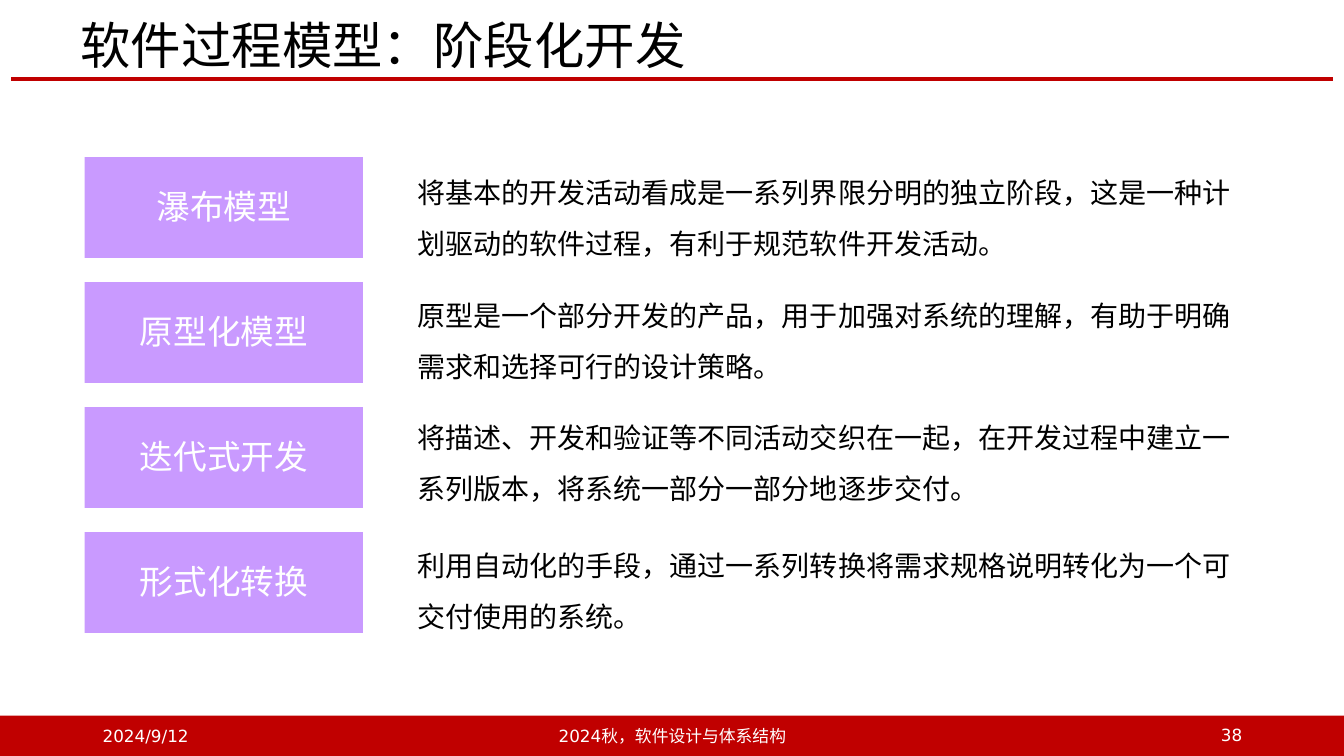
from dataclasses import dataclass

import pptx
import pptx.dml.color
import pptx.enum.shapes
import pptx.enum.text
import pptx.oxml.ns
import pptx.util
from lxml import etree

Inches = pptx.util.Inches
Pt = pptx.util.Pt
RGBColor = pptx.dml.color.RGBColor
Align = pptx.enum.text.PP_ALIGN
Anchor = pptx.enum.text.MSO_ANCHOR
Fit = pptx.enum.text.MSO_AUTO_SIZE
qn = pptx.oxml.ns.qn

RED = RGBColor(0xC0, 0x00, 0x00)
PURPLE = RGBColor(0x94, 0x37, 0xFF)
WHITE = RGBColor(0xFF, 0xFF, 0xFF)
BLACK = RGBColor(0x00, 0x00, 0x00)

SANS = "DejaVu Sans"
LEFT, TOP, WIDTH, HEIGHT, STEP = 0.84, 1.56, 2.76, 1.0, 1.24


@dataclass
class Box:
    left: float
    top: float
    width: float
    height: float


@dataclass
class Style:
    font: str
    size: int
    color: RGBColor
    align: Align = Align.LEFT
    anchor: Anchor = Anchor.TOP
    space: float = 1.0
    wrap: bool = True
    grow: bool = False


@dataclass
class Model:
    name: str
    text: str
    top: float


@dataclass
class Note:
    text: str
    box: Box
    align: Align


MODELS = [
    Model("瀑布模型", "将基本的开发活动看成是一系列界限分明的独立阶段，这是一种计划驱动的软件过程，有利于规范软件开发活动。", 1.53),
    Model("原型化模型", "原型是一个部分开发的产品，用于加强对系统的理解，有助于明确需求和选择可行的设计策略。", 2.75),
    Model("迭代式开发", "将描述、开发和验证等不同活动交织在一起，在开发过程中建立一系列版本，将系统一部分一部分地逐步交付。", 3.96),
    Model("形式化转换", "利用自动化的手段，通过一系列转换将需求规格说明转化为一个可交付使用的系统。", 5.23),
]

NOTES = [
    Note("2024/9/12", Box(0.92, 7.1, 3, 0.4), Align.LEFT),
    Note("2024秋，软件设计与体系结构", Box(4.42, 7.1, 4.5, 0.4), Align.CENTER),
    Note("38", Box(9.42, 7.09, 3, 0.4), Align.RIGHT),
]

TITLE = Style("Noto Sans CJK SC", 36, BLACK, anchor=Anchor.MIDDLE, space=0.9)
LABEL = Style(SANS, 24, WHITE, Align.CENTER, wrap=False, grow=True)
BODY = Style("Arial", 20, BLACK, space=1.5, grow=True)


def place(box: Box) -> tuple:
    return Inches(box.left), Inches(box.top), Inches(box.width), Inches(box.height)


def add_text(slide, text: str, box: Box, style: Style) -> None:
    frame = slide.shapes.add_textbox(*place(box)).text_frame
    frame.word_wrap = style.wrap
    frame.vertical_anchor = style.anchor
    frame.auto_size = Fit.SHAPE_TO_FIT_TEXT if style.grow else Fit.NONE
    para = frame.paragraphs[0]
    para.text = text
    para.alignment = style.align
    para.line_spacing = style.space
    para.font.name = style.font
    para.font.size = Pt(style.size)
    para.font.color.rgb = style.color


def add_block(slide, box: Box, color: RGBColor, alpha: int = 100) -> None:
    """Draw a plain rectangle; alpha is its opacity in percent."""
    kind = pptx.enum.shapes.MSO_SHAPE.RECTANGLE
    shape = slide.shapes.add_shape(kind, *place(box))
    shape.shadow.inherit = False
    shape.fill.solid()
    shape.fill.fore_color.rgb = color
    shape.line.fill.background()
    if alpha < 100:
        tone = shape.fill._xPr.find(qn("a:solidFill"))[0]
        etree.SubElement(tone, qn("a:alpha"), val=str(alpha * 1000))


def add_rule(slide, left: float, right: float, top: float) -> None:
    kind = pptx.enum.shapes.MSO_CONNECTOR.STRAIGHT
    rule = slide.shapes.add_connector(
        kind, Inches(left), Inches(top), Inches(right), Inches(top))
    rule.line.color.rgb = RED
    rule.line.width = Pt(3)
    etree.SubElement(rule._element.spPr, qn("a:effectLst"))


def add_model(slide, model: Model, top: float) -> None:
    add_block(slide, Box(LEFT, top, WIDTH, HEIGHT), PURPLE, 50)
    width = 0.33 * len(model.name) + 0.22
    left = LEFT + (WIDTH - width) / 2
    add_text(slide, model.name, Box(left, top + 0.24, width, 0.5), LABEL)
    add_text(slide, model.text, Box(4.04, model.top, 8.38, 1.06), BODY)


def main() -> None:
    deck = pptx.Presentation()
    deck.slide_width = Inches(13.33)
    deck.slide_height = Inches(7.5)
    slide = deck.slides.add_slide(deck.slide_layouts[6])

    add_rule(slide, 0.11, 13.22, 0.78)
    add_block(slide, Box(0, 7.1, 13.33, 0.4), RED)
    add_text(slide, "软件过程模型：阶段化开发", Box(0.7, 0.18, 11.71, 0.6), TITLE)
    for note in NOTES:
        style = Style(SANS, 12, WHITE, note.align, Anchor.MIDDLE)
        add_text(slide, note.text, note.box, style)
    for row, model in enumerate(MODELS):
        add_model(slide, model, TOP + row * STEP)

    deck.save("out.pptx")


if __name__ == "__main__":
    main()
